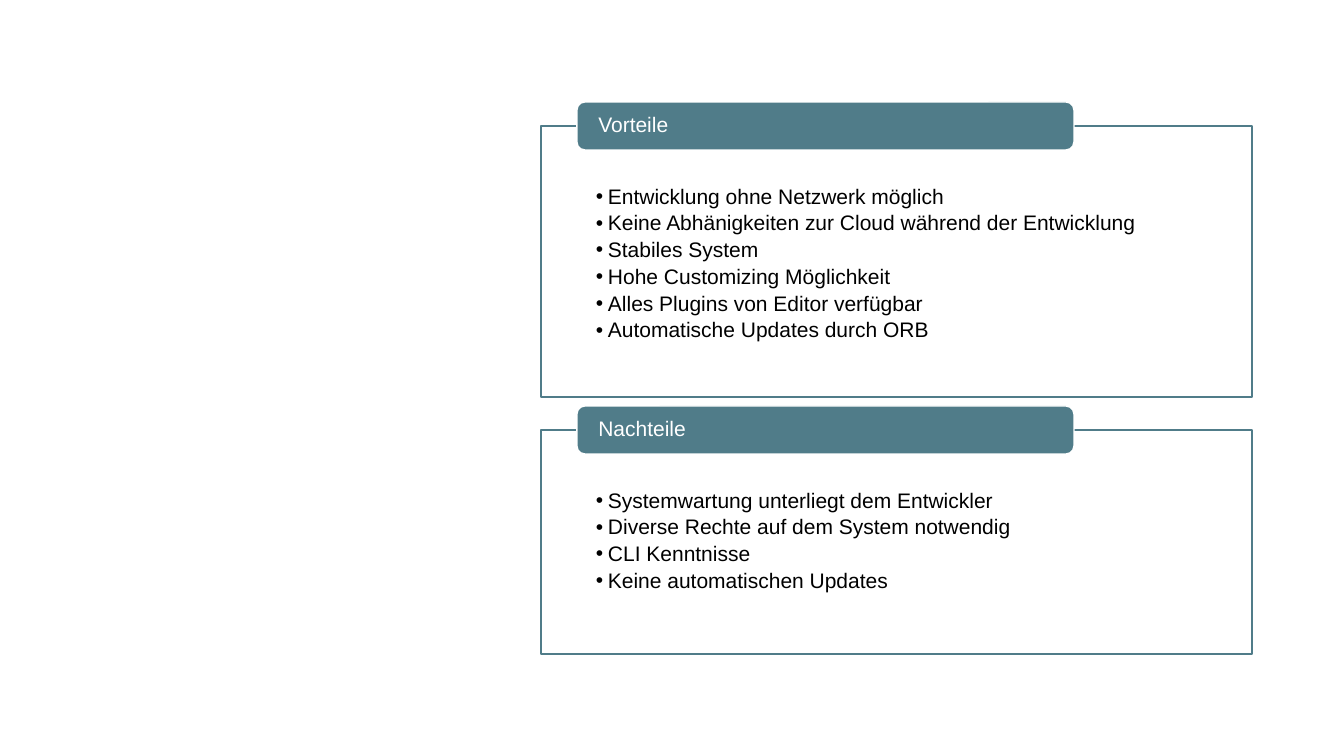
from lxml import etree
from pptx import Presentation
from pptx.dml.color import RGBColor
from pptx.enum.shapes import MSO_SHAPE
from pptx.enum.text import MSO_ANCHOR, MSO_AUTO_SIZE, PP_ALIGN
from pptx.oxml.ns import qn
from pptx.util import Pt

PX = 914400 / 100.8
ROUND = MSO_SHAPE.ROUNDED_RECTANGLE
TOP, MIDDLE = MSO_ANCHOR.TOP, MSO_ANCHOR.MIDDLE
NO_FIT = MSO_AUTO_SIZE.NONE
LEFT = PP_ALIGN.LEFT
TEAL, WHITE, BLACK = "507C89", "FFFFFF", "000000"

CARDS = [
    ("Vorteile", (541, 126, 711, 271), [
        "Entwicklung ohne Netzwerk möglich",
        "Keine Abhänigkeiten zur Cloud während der Entwicklung",
        "Stabiles System",
        "Hohe Customizing Möglichkeit",
        "Alles Plugins von Editor verfügbar",
        "Automatische Updates durch ORB",
    ]),
    ("Nachteile", (541, 430, 711, 224), [
        "Systemwartung unterliegt dem Entwickler",
        "Diverse Rechte auf dem System notwendig",
        "CLI Kenntnisse",
        "Keine automatischen Updates",
    ]),
]


def px(n):
    return round(n * PX)


def color(code):
    return RGBColor.from_string(code)


def put(item, values):
    for name, value in values.items():
        setattr(item, name, value)


def place(shape, x, y, w, h):
    put(shape, {"left": px(x), "top": px(y), "width": px(w), "height": px(h)})


def paint(shape, fill, line):
    shape.fill.solid()
    shape.fill.fore_color.rgb = color(fill)
    shape.line.color.rgb = color(line)
    shape.line.width = Pt(1)


def write(shape, lines, ink, anchor, insets, bullet=False):
    frame = shape.text_frame
    sides = ("margin_left", "margin_top", "margin_right", "margin_bottom")
    put(frame, dict(zip(sides, map(px, insets))))
    put(frame, {"word_wrap": True, "auto_size": NO_FIT,
                "vertical_anchor": anchor, "text": "\n".join(lines)})
    for para in frame.paragraphs:
        put(para, {"alignment": LEFT, "line_spacing": 0.9,
                   "space_before": Pt(0),
                   "space_after": Pt(2.9 if bullet else 0)})
        if bullet:
            props = para._p.get_or_add_pPr()
            props.set("marL", str(px(12)))
            props.set("indent", str(px(-12)))
            etree.SubElement(props, qn("a:buChar")).set("char", "•")
        put(para.font, {"size": Pt(15), "name": "Arial", "bold": False})
        para.font.color.rgb = color(ink)


def card(slide, body, head, box, items):
    x, y, w, h = box
    # Framed list
    place(body, x, y, w, h)
    paint(body, WHITE, TEAL)
    write(body, items, BLACK, TOP, (55, 60, 55, 12), bullet=True)
    # Heading tab across the upper edge
    tab = slide.shapes.add_shape(ROUND, 0, 0, 0, 0)
    place(tab, x + 36, y - 24, 497, 48)
    tab.shadow.inherit = False
    paint(tab, TEAL, WHITE)
    write(tab, [head], WHITE, MIDDLE, (19, 0, 19, 0))


def main():
    deck = Presentation()
    put(deck, {"slide_width": px(1344), "slide_height": px(756)})
    slide = deck.slides.add_slide(deck.slide_layouts.get_by_name("Two Content"))
    title, *bodies = slide.placeholders
    title.element.getparent().remove(title.element)
    for body, (head, box, items) in zip(bodies, CARDS):
        card(slide, body, head, box, items)
    deck.save("out.pptx")


if __name__ == "__main__":
    main()
